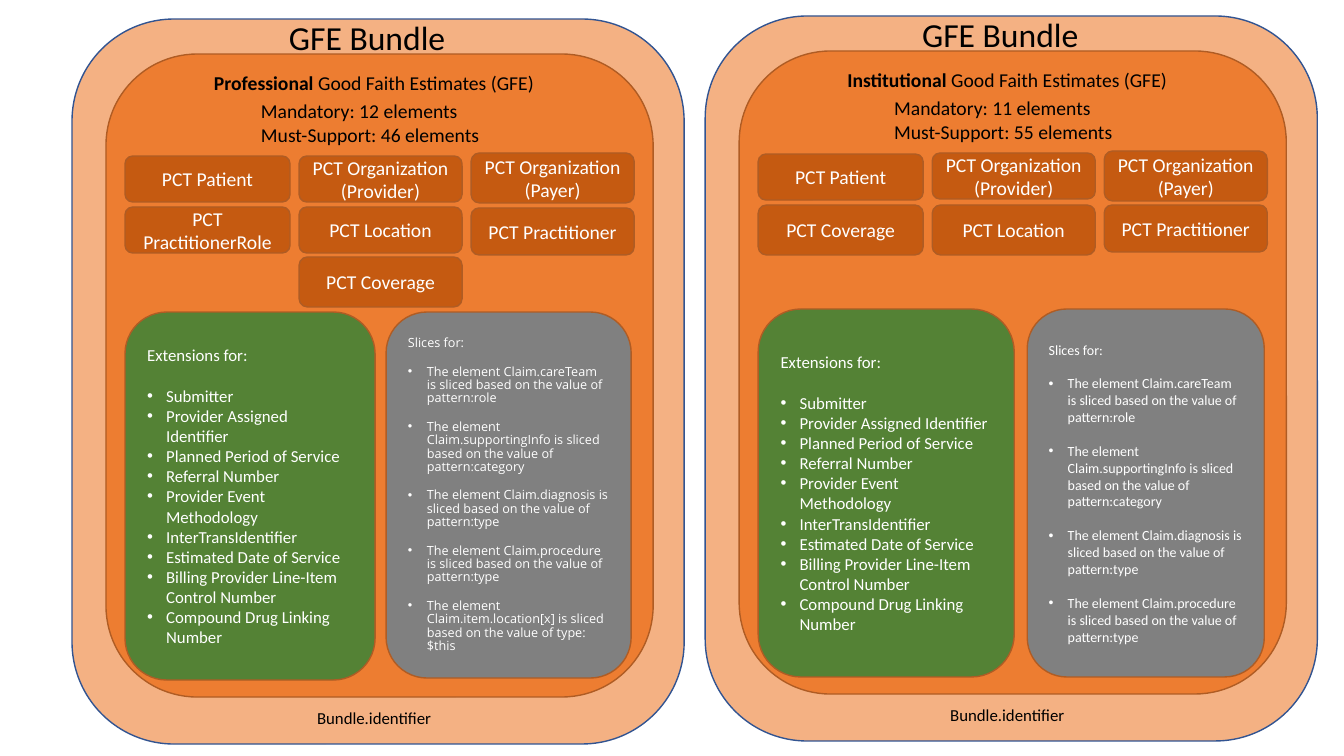
from lxml.etree import SubElement
from pptx import Presentation
from pptx.dml.color import RGBColor
from pptx.enum.shapes import MSO_SHAPE
from pptx.enum.text import MSO_ANCHOR, PP_ALIGN
from pptx.oxml.ns import qn
from pptx.util import Inches, Pt

# Content
EXTENSIONS = [
    "Submitter", "Provider Assigned Identifier", "Planned Period of Service",
    "Referral Number", "Provider Event Methodology", "InterTransIdentifier",
    "Estimated Date of Service", "Billing Provider Line-Item Control Number",
    "Compound Drug Linking Number",
]
SLICES = [
    "The element Claim.careTeam is sliced based on the value of pattern:role",
    "The element Claim.supportingInfo is sliced based on the value of pattern:category",
    "The element Claim.diagnosis is sliced based on the value of pattern:type",
    "The element Claim.procedure is sliced based on the value of pattern:type",
]
ITEM_SLICE = "The element Claim.item.location[x] is sliced based on the value of type:$this"

# Profiles are (name, column, top, height); positions are relative to the bundle
BUNDLES = [
    {
        "origin": (72, 19), "kind": "Professional",
        "counts": ["Mandatory: 12 elements", "Must-Support: 46 elements"],
        "profiles": [
            ("PCT Patient", 0, 137, 46), ("PCT Organization (Provider)", 1, 137, 46),
            ("PCT Organization (Payer)", 2, 134, 50), ("PCT PractitionerRole", 0, 188, 46),
            ("PCT Location", 1, 188, 46), ("PCT Practitioner", 2, 189, 47),
            ("PCT Coverage", 1, 238, 50),
        ],
        "extensions_at": (53, 293, 250, 368), "slices_at": (314, 293, 245, 366),
        "slices": SLICES + [ITEM_SLICE],
        "slice_style": {"size": 9, "font": "Open Sans", "spacing": 0.88, "gap": 10.9},
    },
    {
        "origin": (705, 16), "kind": "Institutional",
        "counts": ["Mandatory: 11 elements", "Must-Support: 55 elements"],
        "profiles": [
            ("PCT Patient", 0, 138, 46), ("PCT Organization (Provider)", 1, 137, 46),
            ("PCT Organization (Payer)", 2, 135, 50), ("PCT Coverage", 0, 189, 50),
            ("PCT Location", 1, 189, 50), ("PCT Practitioner", 2, 189, 47),
        ],
        "extensions_at": (53, 293, 256, 368), "slices_at": (322, 293, 237, 368),
        "slices": SLICES,
        "slice_style": {"size": 10, "font": "Calibri", "gap": 12.2},
    },
]
COLUMNS = [(53, 165), (227, 163), (399, 163)]
COLORS = {
    "bundle": "F4B183", "bundle line": "325491", "estimate": "ED7D31", "line": "AF5C24",
    "profile": "C55A11", "extensions": "548235", "slices": "808080",
    "dark": "000000", "light": "FFFFFF",
}
PIXEL = Inches(1) / 100.8
BULLET_INDENT = 19


def pixels(length):
    return round(length * PIXEL)


def color(name):
    return RGBColor.from_string(COLORS[name])


def place(origin, area):
    left, top, width, height = area
    return [pixels(n) for n in (origin[0] + left, origin[1] + top, width, height)]


def add_box(origin, area, fill, line="line", preset=MSO_SHAPE.FLOWCHART_ALTERNATE_PROCESS):
    box = page.shapes.add_shape(preset, *place(origin, area))
    box.shadow.inherit = False
    box.fill.solid()
    box.fill.fore_color.rgb = color(fill)
    if line:
        box.line.color.rgb = color(line)
        box.line.width = Pt(1)
    else:
        box.line.fill.background()
    return box


def add_text_box(origin, area):
    return page.shapes.add_textbox(*place(origin, area))


def write(box, paras, size, ink="dark", font="Calibri", align=PP_ALIGN.LEFT,
          anchor=MSO_ANCHOR.TOP):
    """Fill a shape; each paragraph is a list of (text, bold) runs."""
    frame = box.text_frame
    frame.word_wrap = True
    frame.vertical_anchor = anchor
    for index, runs in enumerate(paras):
        para = frame.paragraphs[0] if index == 0 else frame.add_paragraph()
        para.alignment = align
        for text, bold in runs:
            span = para.add_run()
            span.text = text
            span.font.size = Pt(size)
            span.font.name = font
            span.font.bold = bold
            span.font.color.rgb = color(ink)
    return frame.paragraphs


def plain(lines):
    return [[(line, False)] for line in lines]


def write_list(box, heading, items, size, gap, font="Calibri", spacing=None, spread=False):
    """Write a heading and bullets; spread puts the gap before every bullet."""
    paras = write(box, plain([heading] + items), size, "light", font,
                  anchor=MSO_ANCHOR.MIDDLE)
    for index, para in enumerate(paras):
        if spacing:
            para.line_spacing = spacing
        if index == 0:
            continue
        if index == 1 or spread:
            para.space_before = Pt(gap)
        properties = para._p.get_or_add_pPr()
        properties.set("marL", str(pixels(BULLET_INDENT)))
        properties.set("indent", str(-pixels(BULLET_INDENT)))
        SubElement(properties, qn("a:buFont"), typeface="Arial")
        SubElement(properties, qn("a:buChar"), char="•")


deck = Presentation()
deck.slide_width, deck.slide_height = Inches(13.33), Inches(7.5)
page = deck.slides.add_slide(deck.slide_layouts[6])

for bundle in BUNDLES:
    origin = bundle["origin"]

    # Bundle frame and headings
    add_box(origin, (0, 0, 612, 725), "bundle", "bundle line")
    write(add_text_box(origin, (207, -7, 237, 50)), plain(["GFE Bundle"]), 24)
    add_box(origin, (34, 35, 547, 643), "estimate")
    write(add_text_box(origin, (126, 47, 352, 34)),
          [[(bundle["kind"], True), (" Good Faith Estimates (GFE)", False)]],
          14, align=PP_ALIGN.CENTER)
    counts = add_box(origin, (179, 75, 245, 57), "estimate", None, MSO_SHAPE.RECTANGLE)
    write(counts, plain(bundle["counts"]), 14)

    # Profiles
    for name, column, top, height in bundle["profiles"]:
        left, width = COLUMNS[column]
        write(add_box(origin, (left, top, width, height), "profile"), plain([name]), 14,
              "light", align=PP_ALIGN.CENTER, anchor=MSO_ANCHOR.MIDDLE)

    # Extensions and slices
    write_list(add_box(origin, bundle["extensions_at"], "extensions"),
               "Extensions for:", EXTENSIONS, size=12, gap=14.6)
    write_list(add_box(origin, bundle["slices_at"], "slices"),
               "Slices for:", bundle["slices"], spread=True, **bundle["slice_style"])

    # Identifier
    write(add_text_box(origin, (235, 684, 146, 30)), plain(["Bundle.identifier"]), 12)

deck.save("out.pptx")
